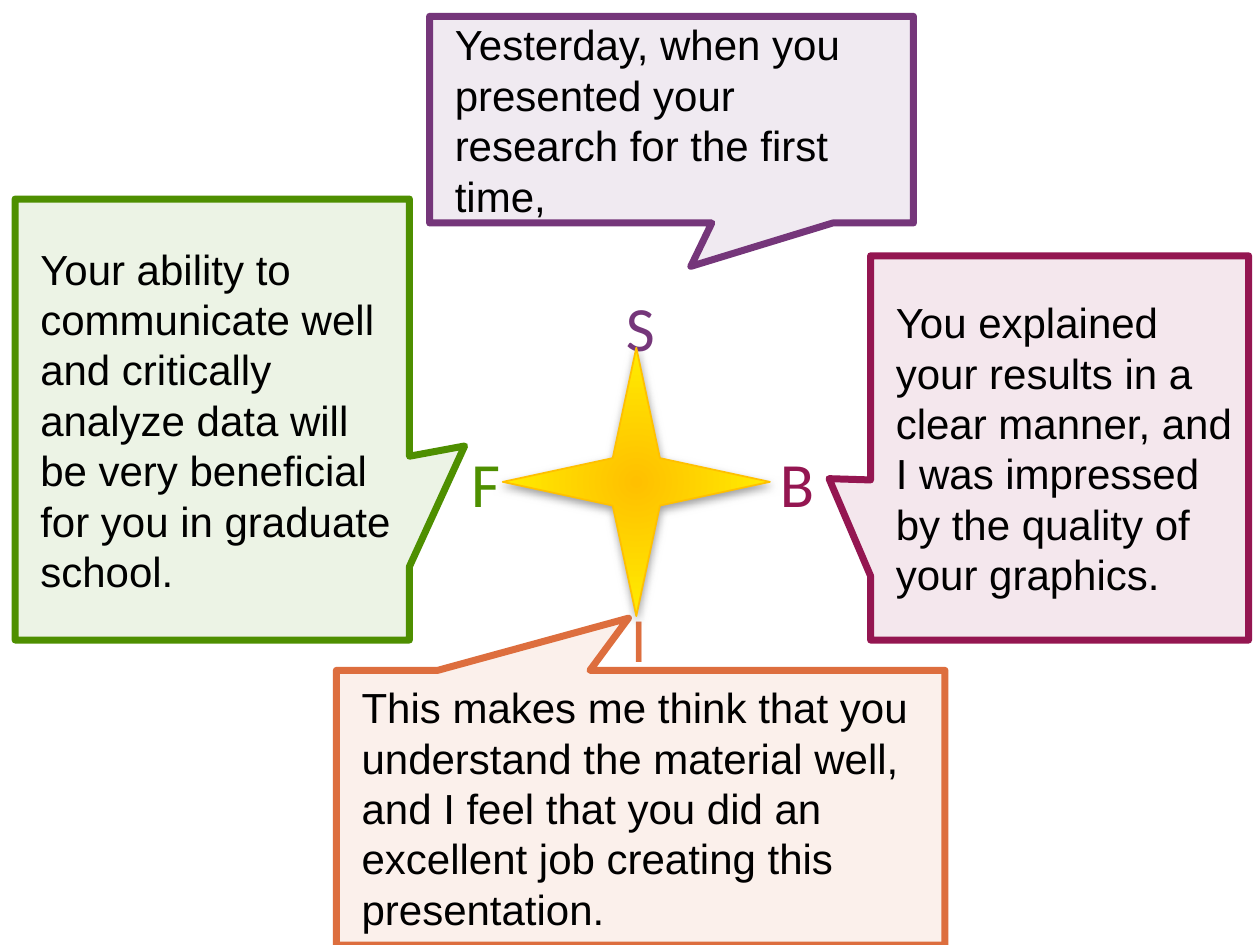
"""Build a slide with a four-pointed star and four feedback callouts."""
from lxml.etree import SubElement
from pptx import Presentation
from pptx.dml.color import RGBColor
from pptx.enum.shapes import MSO_SHAPE as Shape
from pptx.enum.text import MSO_ANCHOR as Anchor, MSO_AUTO_SIZE as AutoSize, PP_ALIGN as Align
from pptx.oxml.ns import qn
from pptx.util import Inches, Pt

WIDTH, HEIGHT = Inches(10), Inches(7.5)
COLUMNS, ROWS = 100, 75

PURPLE = RGBColor(0x75, 0x36, 0x7A)
MAGENTA = RGBColor(0x94, 0x16, 0x51)
GREEN = RGBColor(0x4E, 0x8F, 0x00)
ORANGE = RGBColor(0xDD, 0x6E, 0x3E)
GOLD = RGBColor(0xFF, 0xC0, 0x00)
YELLOW = RGBColor(0xFF, 0xFF, 0x00)
GRAY = RGBColor(0x80, 0x80, 0x80)
BLACK = RGBColor(0, 0, 0)

LETTERS = [
    ("S", PURPLE, (48.7, 22.4, 4.6, 7.1)),
    ("B", MAGENTA, (60.9, 34.8, 4.1, 7.1)),
    ("I", ORANGE, (49.1, 47.1, 6.3, 7.1)),
    ("F", GREEN, (36.4, 34.8, 2.7, 7.1)),
]
CALLOUTS = [
    ("Yesterday, when you presented your research for the first time,",
     PURPLE, (34.1, 1.3, 38.4, 16.4), (0.04, 0.71)),
    ("You explained your results in a clear manner, and I was impressed "
     "by the quality of your graphics.",
     MAGENTA, (69.1, 20.3, 30, 30.5), (-0.61, 0.08)),
    ("Your ability to communicate well and critically analyze data will be "
     "very beneficial for you in graduate school.",
     GREEN, (1.2, 15.8, 31.3, 35), (0.64, 0.06)),
    ("This makes me think that you understand the material well, and I feel "
     "that you did an excellent job creating this presentation.",
     ORANGE, (26.7, 53.2, 48.3, 21.8), (-0.02, -0.69)),
]
STAR_CELLS = (39.9, 27.6, 21.2, 21.3)


def place(cells):
    """Turn grid columns and rows into left, top, width and height."""
    left, top, width, height = cells
    column, row = WIDTH / COLUMNS, HEIGHT / ROWS
    return [round(length) for length in
            (left * column, top * row, width * column, height * row)]


def write(frame, wording, font_name, size, color):
    """Fill a wrapped text frame with one left-aligned paragraph."""
    frame.word_wrap = True
    paragraph = frame.paragraphs[0]
    paragraph.text = wording
    paragraph.alignment = Align.LEFT
    paragraph.font.name = font_name
    paragraph.font.size = Pt(size)
    paragraph.font.color.rgb = color


def set_opacity(color_element, percent):
    """Give a colour element an opacity."""
    SubElement(color_element, qn("a:alpha"), val=str(percent * 1000))


def add_letter(slide, letter, color, cells):
    """Add one of the large letters around the star."""
    frame = slide.shapes.add_textbox(*place(cells)).text_frame
    frame.auto_size = AutoSize.SHAPE_TO_FIT_TEXT
    write(frame, letter, "Calibri", 36, color)


def add_callout(slide, wording, color, cells, tip):
    """Add a tinted speech callout whose tip is a share of its size."""
    callout = slide.shapes.add_shape(Shape.RECTANGULAR_CALLOUT, *place(cells))
    callout.shadow.inherit = False
    callout.adjustments[0], callout.adjustments[1] = tip
    callout.fill.solid()
    callout.fill.fore_color.rgb = color
    set_opacity(callout.element.spPr.find(qn("a:solidFill"))[0], 10)
    callout.line.color.rgb = color
    callout.line.width = Pt(4)
    frame = callout.text_frame
    frame.vertical_anchor = Anchor.MIDDLE
    frame.margin_left = Inches(0.2)
    write(frame, wording, "Arial", 24, BLACK)


def add_star(slide):
    """Add the central star with a radial gradient and a soft shadow."""
    star = slide.shapes.add_shape(Shape.STAR_4_POINT, *place(STAR_CELLS))
    star.line.color.rgb = GOLD
    star.line.width = Pt(1)
    star.fill.gradient()
    for stop, color, position in zip(star.fill.gradient_stops, (GOLD, YELLOW), (0, 1)):
        stop.color.rgb = color
        stop.position = position
    gradient = star.element.spPr.find(qn("a:gradFill"))
    gradient.remove(gradient.find(qn("a:lin")))
    radial = SubElement(gradient, qn("a:path"), {"path": "circle"})
    SubElement(radial, qn("a:fillToRect"), dict.fromkeys("ltrb", "50000"))
    star.shadow.inherit = False
    shadow = SubElement(star.element.spPr.find(qn("a:effectLst")), qn("a:outerShdw"),
                        blurRad=str(Pt(5)), dist=str(Pt(2)), dir=str(90 * 60000),
                        rotWithShape="0")
    set_opacity(SubElement(shadow, qn("a:srgbClr"), val=str(GRAY)), 75)


def main():
    """Build and save the slide."""
    deck = Presentation()
    deck.slide_width, deck.slide_height = WIDTH, HEIGHT
    slide = deck.slides.add_slide(deck.slide_layouts[6])
    for letter in LETTERS:
        add_letter(slide, *letter)
    for callout in CALLOUTS:
        add_callout(slide, *callout)
    add_star(slide)
    deck.save("out.pptx")


if __name__ == "__main__":
    main()
